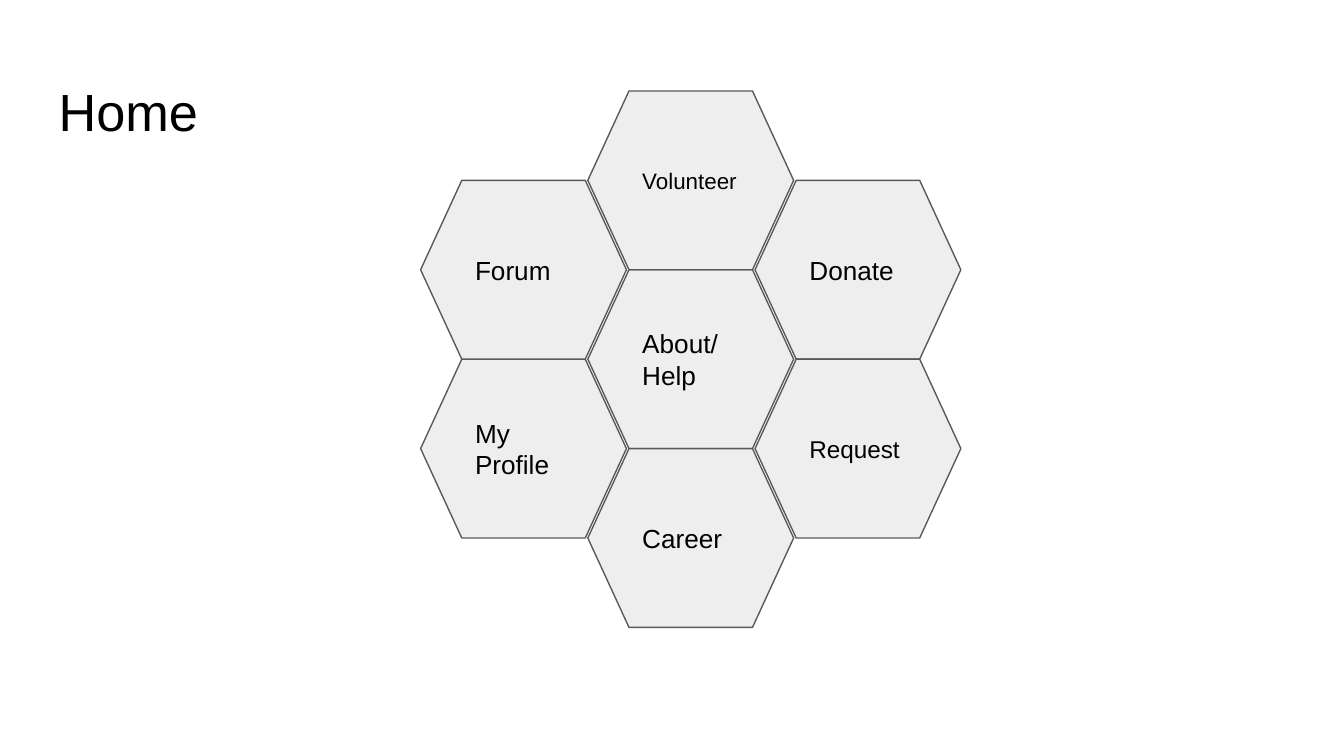
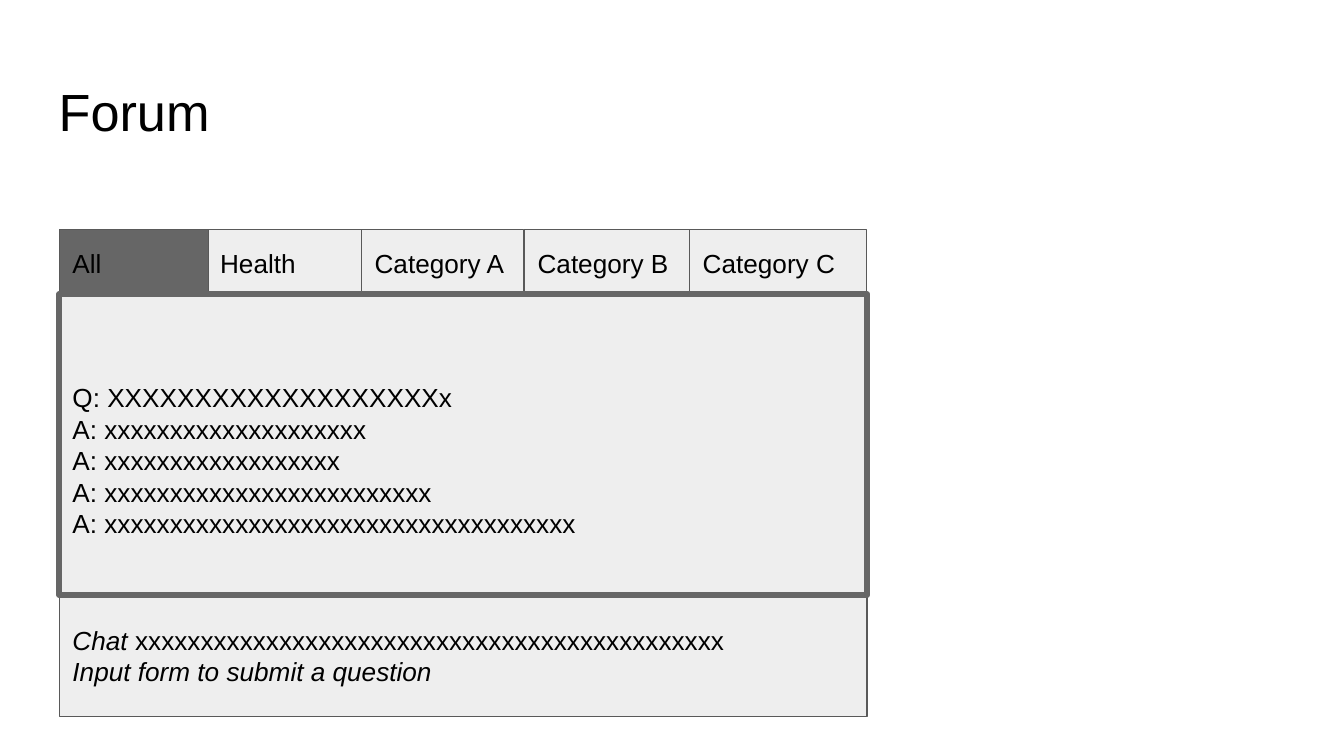
from dataclasses import dataclass

from pptx import Presentation
from pptx.dml.color import RGBColor
from pptx.enum.shapes import MSO_SHAPE
from pptx.enum.text import MSO_ANCHOR, PP_ALIGN
from pptx.util import Cm, Pt

HEXAGON = MSO_SHAPE.FLOWCHART_PREPARATION
RECTANGLE = MSO_SHAPE.RECTANGLE
LEFT = PP_ALIGN.LEFT
TOP, MIDDLE = MSO_ANCHOR.TOP, MSO_ANCHOR.MIDDLE


@dataclass(frozen=True)
class Theme:
    font: str = "Arial"
    ink: str = "000000"
    panel: str = "EEEEEE"
    outline: str = "595959"
    selected: str = "666666"
    title_size: float = 28
    body_size: float = 14
    request_size: float = 13
    volunteer_size: float = 12
    thin: float = 0.75
    thick: float = 3
    inset: float = 0.25


THEME = Theme()


@dataclass(frozen=True)
class Box:
    text: str
    left: float
    top: float
    width: float
    height: float
    geometry: MSO_SHAPE = RECTANGLE
    fill: str = THEME.panel
    outline: str = THEME.outline
    weight: float = THEME.thin
    size: float = THEME.body_size
    italic: bool = False
    top_inset: float = THEME.inset


@dataclass(frozen=True)
class Cell:
    text: str
    column: int
    half_row: int
    size: float = THEME.body_size


@dataclass(frozen=True)
class Tab:
    text: str
    left: float
    width: float
    fill: str = THEME.panel


HOME_CELLS = (
    Cell("About/\nHelp", 1, 2),
    Cell("Career", 1, 4),
    Cell("My Profile", 0, 3),
    Cell("Donate", 2, 1),
    Cell("Request", 2, 3, THEME.request_size),
    Cell("Forum", 0, 1),
    Cell("Volunteer", 1, 0, THEME.volunteer_size),
)
COMB_LEFT, COMB_TOP = 7.95, 1.72
CELL_WIDTH, CELL_HEIGHT = 3.89, 3.38
COLUMN_PITCH = 3.16

FORUM_TABS = (
    Tab("Health", 3.91, 2.92),
    Tab("Category A", 6.83, 3.07),
    Tab("Category B", 9.91, 4.62),
    Tab("Category C", 13.03, 3.35),
    Tab("All", 1.12, 2.82, THEME.selected),
)
TAB_TOP, TAB_HEIGHT = 4.34, 1.27
FORUM_LEFT, FORUM_WIDTH = 1.12, 15.27
THREAD_TOP, THREAD_HEIGHT = 5.56, 5.69
CHAT_HEIGHT = 2.29
LINE_HEIGHT = 0.59
THREAD_TEXT = "\n".join(
    ["Q: " + "X" * 19 + "x"] + ["A: " + "x" * count for count in (20, 18, 25, 36)]
)


def style_run(run, size: float, italic: bool = False) -> None:
    run.font.name = THEME.font
    run.font.size = Pt(size)
    run.font.italic = italic
    run.font.color.rgb = RGBColor.from_string(THEME.ink)


def write_text(frame, text: str, size: float, anchor: MSO_ANCHOR,
               italic: bool = False, top_inset: float = THEME.inset) -> None:
    frame.word_wrap = True
    frame.vertical_anchor = anchor
    frame.margin_left = frame.margin_right = frame.margin_bottom = Cm(THEME.inset)
    frame.margin_top = Cm(top_inset)
    frame.text = text
    for paragraph in frame.paragraphs:
        paragraph.alignment = LEFT
        for run in paragraph.runs:
            style_run(run, size, italic)


def add_titled_slide(deck, title: str):
    slide = deck.slides.add_slide(deck.slide_layouts[6])
    heading = slide.shapes.add_textbox(Cm(0.86), Cm(1.24), Cm(23.67), Cm(1.6))
    write_text(heading.text_frame, title, THEME.title_size, TOP)
    return slide


def add_box(slide, box: Box):
    panel = slide.shapes.add_shape(
        box.geometry, Cm(box.left), Cm(box.top), Cm(box.width), Cm(box.height)
    )
    panel.shadow.inherit = False
    panel.fill.solid()
    panel.fill.fore_color.rgb = RGBColor.from_string(box.fill)
    panel.line.color.rgb = RGBColor.from_string(box.outline)
    panel.line.width = Pt(box.weight)
    write_text(panel.text_frame, box.text, box.size, MIDDLE, box.italic, box.top_inset)
    return panel


def build_home(deck) -> None:
    slide = add_titled_slide(deck, "Home")
    for cell in HOME_CELLS:
        add_box(slide, Box(
            cell.text,
            COMB_LEFT + cell.column * COLUMN_PITCH,
            COMB_TOP + cell.half_row * CELL_HEIGHT / 2,
            CELL_WIDTH, CELL_HEIGHT, HEXAGON, size=cell.size,
        ))


def build_forum(deck) -> None:
    slide = add_titled_slide(deck, "Forum")
    for tab in FORUM_TABS:
        add_box(slide, Box(tab.text, tab.left, TAB_TOP, tab.width, TAB_HEIGHT, fill=tab.fill))
    chat = add_box(slide, Box(
        "Chat \nInput form to submit a question",
        FORUM_LEFT, THREAD_TOP + THREAD_HEIGHT, FORUM_WIDTH, CHAT_HEIGHT, italic=True,
    ))
    message = chat.text_frame.paragraphs[0].add_run()
    message.text = "x" * 45
    style_run(message, THEME.body_size)
    add_box(slide, Box(
        THREAD_TEXT, FORUM_LEFT, THREAD_TOP, FORUM_WIDTH, THREAD_HEIGHT,
        outline=THEME.selected, weight=THEME.thick, top_inset=THEME.inset + LINE_HEIGHT,
    ))


def main() -> None:
    deck = Presentation()
    deck.slide_width, deck.slide_height = Cm(25.4), Cm(14.29)
    build_home(deck)
    build_forum(deck)
    deck.save("out.pptx")


if __name__ == "__main__":
    main()
